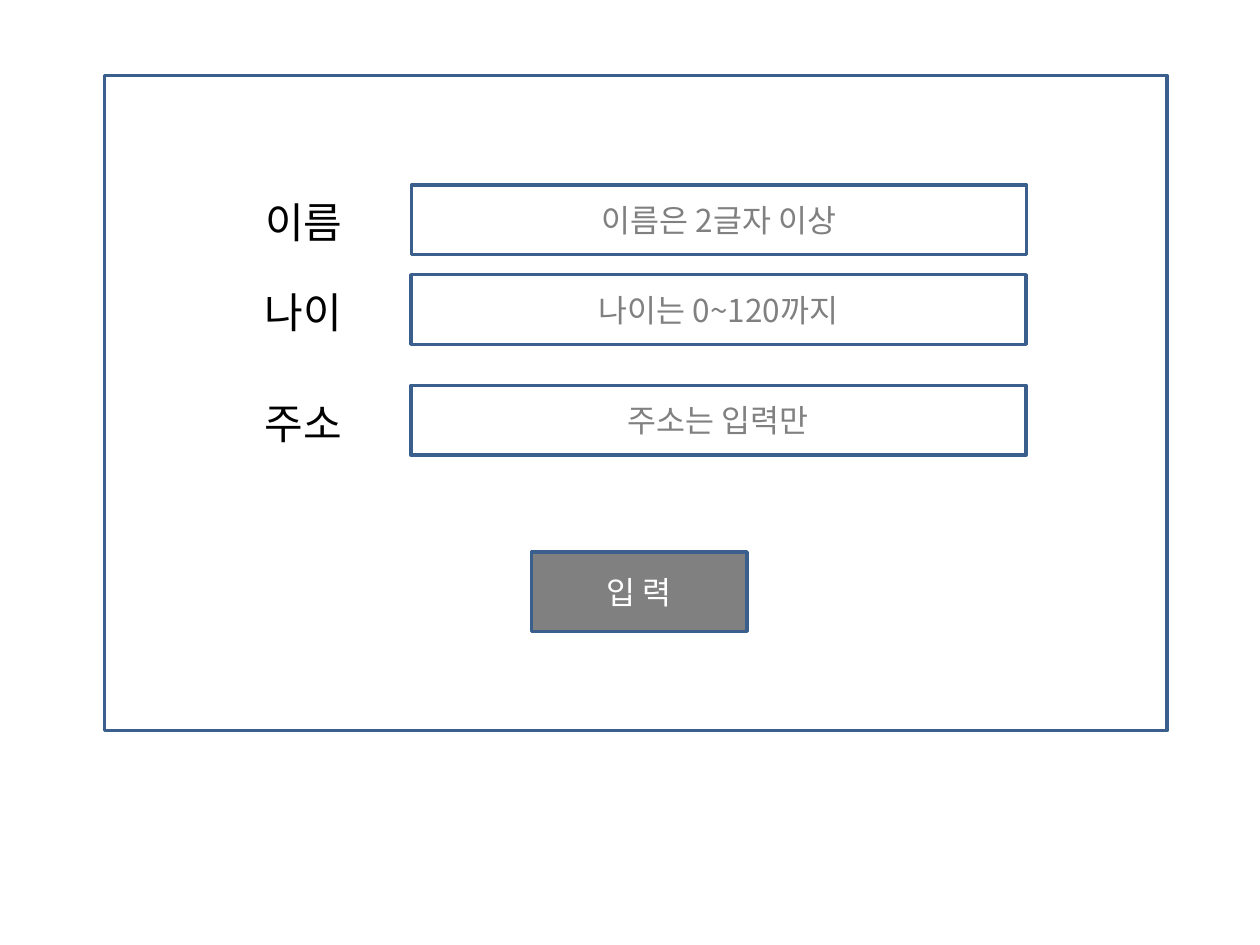
from pptx import Presentation
from pptx.dml.color import RGBColor
from pptx.enum import shapes, text
from pptx.oxml import ns
from pptx.util import Pt
from lxml import etree

FONT = "Noto Sans CJK KR"
BLUE = RGBColor(0x3A, 0x5F, 0x8C)
GRAY = RGBColor(0x80, 0x80, 0x80)
BLACK = RGBColor(0, 0, 0)
WHITE = RGBColor(255, 255, 255)


def write(frame, words, size, color, align):
    para = frame.paragraphs[0]
    para.text = words
    para.alignment = align
    font = para.font
    font.size = Pt(size)
    font.color.rgb = color
    font.name = FONT
    east_asian = etree.SubElement(font._element, ns.qn("a:ea"))
    east_asian.set("typeface", FONT)


def add_box(page, left, top, width, height, fill=None, words="", color=GRAY):
    box = page.shapes.add_shape(
        shapes.MSO_SHAPE.RECTANGLE, Pt(left), Pt(top), Pt(width), Pt(height))
    box.shadow.inherit = False
    if fill is None:
        box.fill.background()
    else:
        box.fill.solid()
        box.fill.fore_color.rgb = fill
    box.line.color.rgb = BLUE
    box.line.width = Pt(2)
    if words:
        box.text_frame.vertical_anchor = text.MSO_ANCHOR.MIDDLE
        write(box.text_frame, words, 18, color, text.PP_ALIGN.CENTER)


def add_label(page, left, top, words):
    label = page.shapes.add_textbox(Pt(left), Pt(top), Pt(63.4), Pt(36))
    label.text_frame.word_wrap = False
    label.text_frame.auto_size = text.MSO_AUTO_SIZE.SHAPE_TO_FIT_TEXT
    write(label.text_frame, words, 24, BLACK, text.PP_ALIGN.LEFT)


def add_field(page, left, top, name, hint):
    add_label(page, left, top + 3.2, name)
    add_box(page, left + 90.8, top, 351.4, 39.8, words=hint)


def add_form(page, left, top, width, height):
    add_box(page, left, top, width, height)
    fields = [
        (84.6, 62.6, "이름", "이름은 2글자 이상"),
        (84.2, 113.8, "나이", "나이는 0~120까지"),
        (84.2, 177.1, "주소", "주소는 입력만"),
    ]
    for x, y, name, hint in fields:
        add_field(page, left + x, top + y, name, hint)
    add_box(page, left + 244, top + 272.2, 123.1, 45.4, GRAY, "입 력", WHITE)


deck = Presentation()
deck.slide_width, deck.slide_height = Pt(720), Pt(540)
page = deck.slides.add_slide(deck.slide_layouts[6])
add_form(page, 59.8, 43.2, 607, 374.4)
deck.save("out.pptx")
